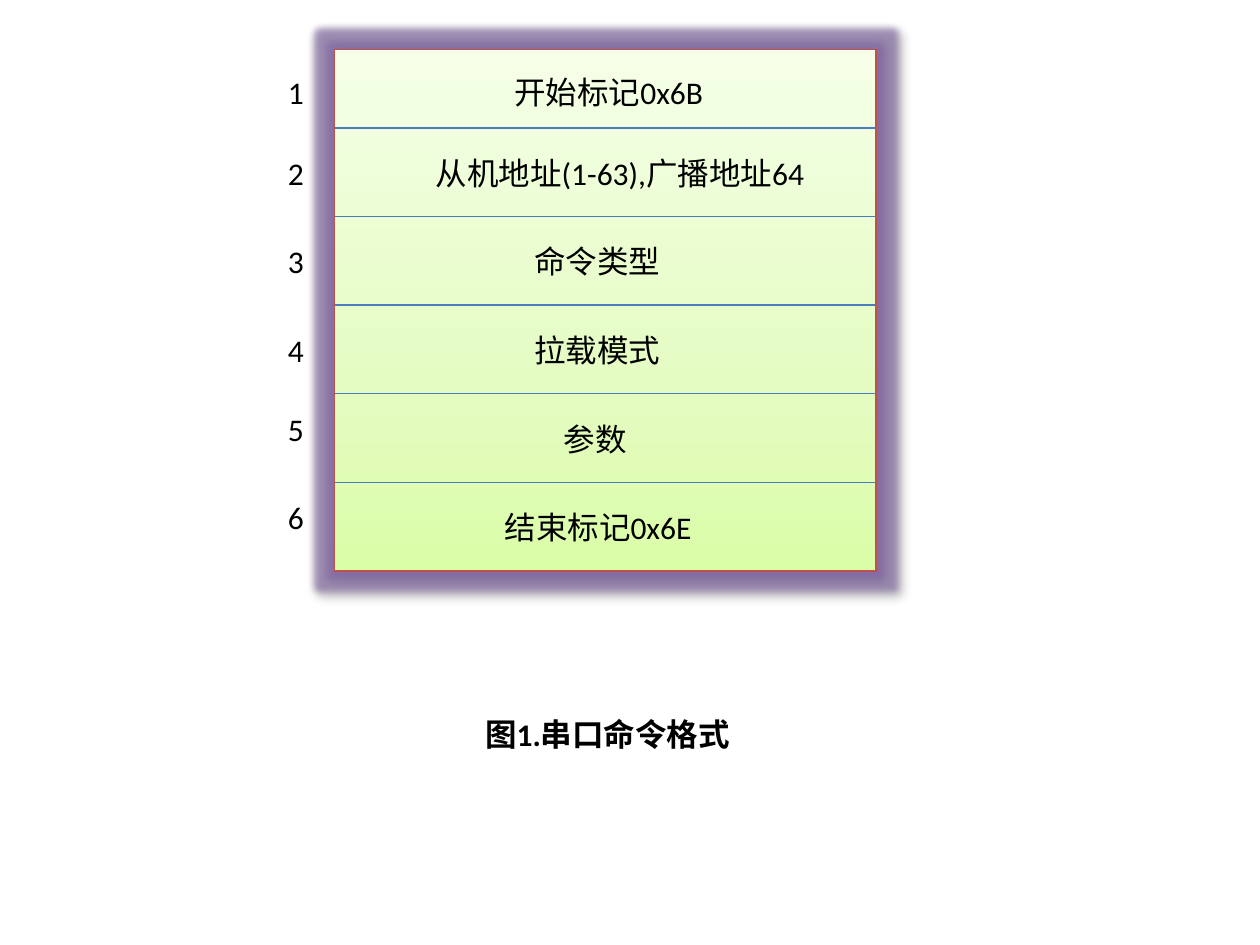
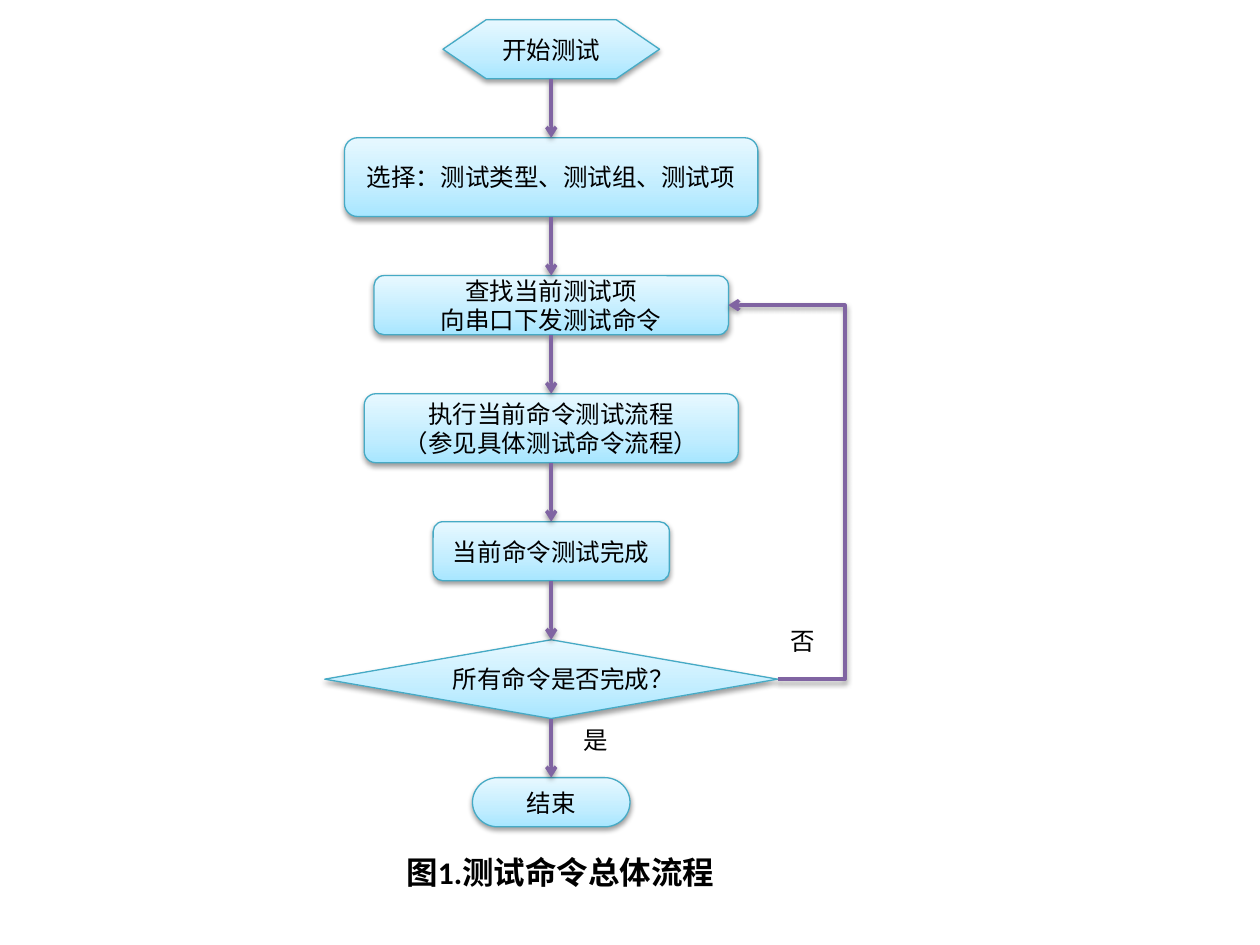
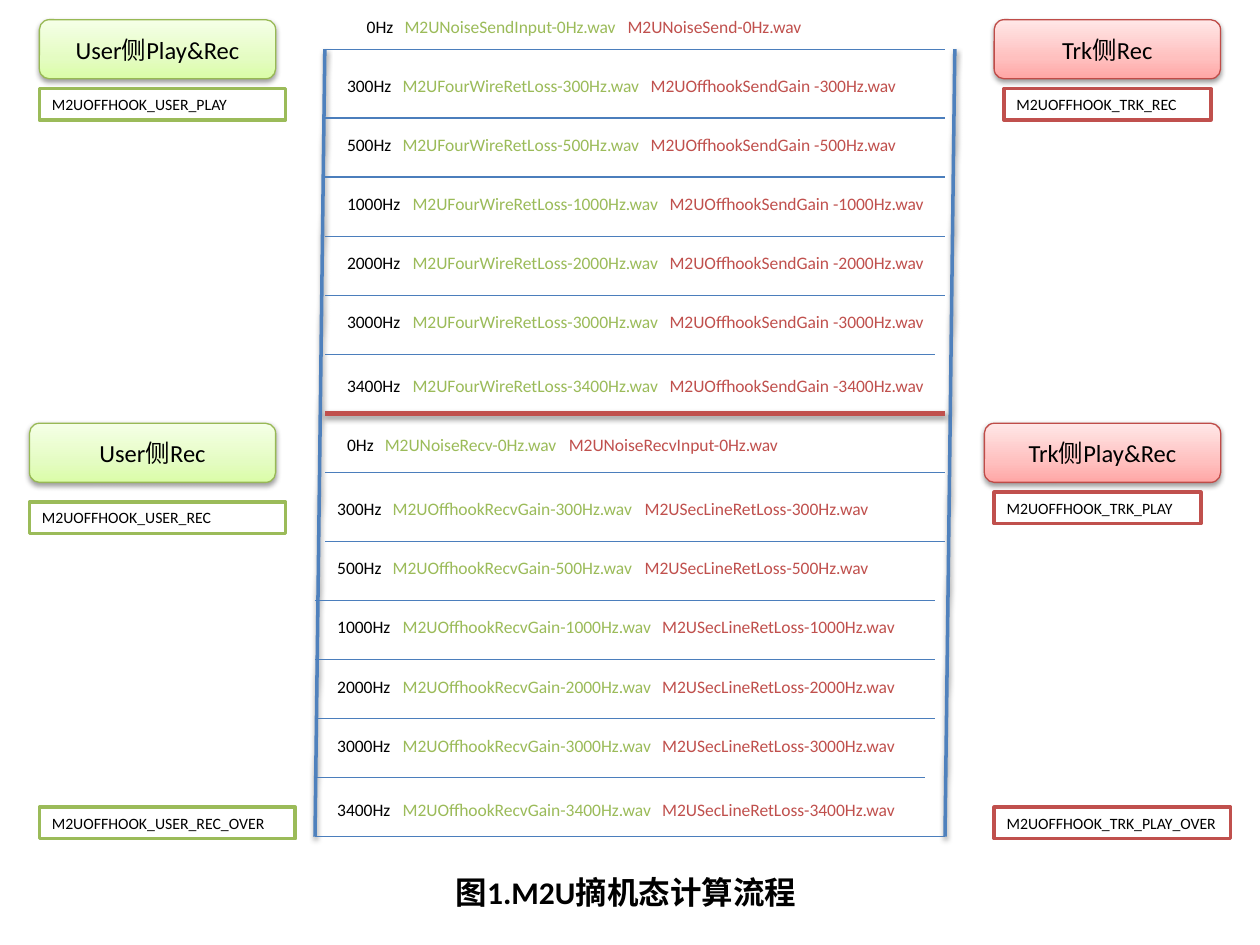
from lxml import etree
from pptx import Presentation
from pptx import util as u
from pptx.dml.color import RGBColor
from pptx.enum import shapes, text
from pptx.oxml.ns import qn

COLUMNS, ROWS = 128, 96
WIDTH, HEIGHT = u.Inches(10), u.Inches(7.5)
FONT = "Calibri"
BLACK, WHITE = "000000", "FFFFFF"
GREEN, RED, BLUE, PURPLE = "9BBB59", "C0504D", "4F81BD", "8064A2"
RULE = "4B7EBC"
SOFT_SHADOW = (38, 3.1, 1.6, 90)
GRADIENTS = {
    "green": ("DAFDA7", "E4FCC2", "F5FFE7"),
    "red": ("FFA6A5", "FFC0BF", "FFE7E7"),
    "blue": ("A7E6FF", "C1EDFF", "E7F8FF"),
}
EDGES = {"green": "98B955", "red": "BF4C48", "blue": "46AAC5"}
PRESET = shapes.MSO_SHAPE


def color(value):
    return RGBColor.from_string(value)


def add_node(parent, tag, **attributes):
    return etree.SubElement(parent, qn(tag), {key: str(value) for key, value in attributes.items()})


class Diagram:
    def __init__(self):
        self.presentation = Presentation()
        self.presentation.slide_width = WIDTH
        self.presentation.slide_height = HEIGHT
        self.slide = None

    def column(self, count):
        return round(WIDTH * count / COLUMNS)

    def row(self, count):
        return round(HEIGHT * count / ROWS)

    def area(self, left, top, width, height):
        return self.column(left), self.row(top), self.column(width), self.row(height)

    def start_slide(self, caption, left, top, width):
        layout = self.presentation.slide_layouts.get_by_name("Title Only")
        self.slide = self.presentation.slides.add_slide(layout)
        title = self.slide.shapes.title
        title.left, title.top, title.width, title.height = self.area(left, top, width, 5)
        title.text_frame.text = caption
        self.format_label(title, 18, bold=True)

    def format_runs(self, shape, size, alignment, bold=False):
        for paragraph in shape.text_frame.paragraphs:
            paragraph.alignment = alignment
            for run in paragraph.runs:
                run.font.name = FONT
                run.font.size = u.Pt(size)
                run.font.bold = bold
                run.font.color.rgb = color(BLACK)

    def format_label(self, shape, size, bold=False):
        frame = shape.text_frame
        frame.word_wrap = True
        frame.auto_size = text.MSO_AUTO_SIZE.SHAPE_TO_FIT_TEXT
        frame.vertical_anchor = text.MSO_ANCHOR.TOP
        frame.margin_right = 0
        self.format_runs(shape, size, text.PP_ALIGN.LEFT, bold)

    def label(self, words, left, top, width, height=5, size=18):
        box = self.slide.shapes.add_textbox(*self.area(left, top, width, height))
        box.text_frame.text = words
        self.format_label(box, size)
        return box

    def effects(self, shape, shadow=None, glow=None):
        properties = shape._element.spPr
        for existing in properties.findall(qn("a:effectLst")):
            properties.remove(existing)
        effect_list = add_node(properties, "a:effectLst")

        def tint(effect, value, opacity):
            add_node(add_node(effect, "a:srgbClr", val=value), "a:alpha", val=opacity * 1000)

        if glow:
            tint(add_node(effect_list, "a:glow", rad=u.Pt(8)), glow, 60)
        if shadow:
            opacity, blur, distance, angle = shadow
            outer = add_node(effect_list, "a:outerShdw", blurRad=u.Pt(blur), dist=u.Pt(distance),
                             dir=angle * 60000, rotWithShape=0)
            tint(outer, BLACK, opacity)

    def shape(self, preset, left, top, width, height, line, weight=0.75):
        shape = self.slide.shapes.add_shape(preset, *self.area(left, top, width, height))
        shape.shadow.inherit = False
        shape.line.color.rgb = color(line)
        shape.line.width = u.Pt(weight)
        return shape

    def panel(self, preset, palette, left, top, width, height, words="", line=None,
              shadow=SOFT_SHADOW, glow=None):
        panel = self.shape(preset, left, top, width, height, line or EDGES[palette])
        panel.fill.gradient()
        panel.fill.gradient_angle = 90
        stops = panel._element.spPr.find(".//" + qn("a:gsLst"))
        for stop in list(stops):
            stops.remove(stop)
        for position, value in zip((0, 35, 100), GRADIENTS[palette]):
            add_node(add_node(stops, "a:gs", pos=position * 1000), "a:srgbClr", val=value)
        self.effects(panel, shadow, glow)
        if words:
            panel.text_frame.text = words
            panel.text_frame.vertical_anchor = text.MSO_ANCHOR.MIDDLE
            self.format_runs(panel, 14, text.PP_ALIGN.CENTER)
        return panel

    def tag(self, words, line, left, top, width):
        tag = self.shape(PRESET.RECTANGLE, left, top, width, 3.2, line, 2)
        tag.fill.solid()
        tag.fill.fore_color.rgb = color(WHITE)
        tag.text_frame.text = words
        self.format_label(tag, 9)

    def line(self, left, top, right, bottom, value=RULE, weight=0.75, shadow=None,
             kind=shapes.MSO_CONNECTOR.STRAIGHT):
        line = self.slide.shapes.add_connector(
            kind, self.column(left), self.row(top), self.column(right), self.row(bottom))
        line.line.color.rgb = color(value)
        line.line.width = u.Pt(weight)
        self.effects(line, shadow)
        return line

    def arrow(self, source, source_side, target, target_side, bend=None):
        kind = shapes.MSO_CONNECTOR.STRAIGHT if bend is None else shapes.MSO_CONNECTOR.ELBOW
        arrow = self.line(0, 0, 1, 1, PURPLE, 2, SOFT_SHADOW, kind)
        arrow.begin_connect(source, source_side)
        arrow.end_connect(target, target_side)
        properties = arrow._element.spPr
        add_node(properties.find(qn("a:ln")), "a:tailEnd", type="arrow")
        if bend is not None:
            adjustments = properties.find(".//" + qn("a:avLst"))
            add_node(adjustments, "a:gd", name="adj1", fmla=f"val {round(bend * 100000)}")

    def tabbed_label(self, parts, stops, left, top, width):
        box = self.label("\t".join(words for words, _ in parts), left, top, width, 3.4, 10)
        paragraph = box.text_frame.paragraphs[0]
        paragraph.text = ""
        for index, (words, value) in enumerate(parts):
            run = paragraph.add_run()
            run.text = "\t" + words if index else words
        self.format_label(box, 10)
        for run, (_, value) in zip(paragraph.runs, parts):
            run.font.color.rgb = color(value)
        tab_list = add_node(paragraph._p.get_or_add_pPr(), "a:tabLst")
        for stop in stops:
            add_node(tab_list, "a:tab", pos=u.Inches(stop), algn="l")


def build_command_format(diagram):
    diagram.start_slide("图1.串口命令格式", 48, 72, 29)
    diagram.panel(PRESET.RECTANGLE, "green", 34, 5, 55, 53, line=RED,
                  shadow=(40, 4, 3, 45), glow=PURPLE)
    for top in range(13, 50, 9):
        diagram.line(34, top, 89, top)
    fields = [
        ("开始标记0x6B", 51, 6.8, 23, 6.8),
        ("从机地址(1-63),广播地址64", 43, 15, 43, 15),
        ("命令类型", 53, 24, 16, 24),
        ("拉载模式", 53, 33, 16, 33),
        ("参数", 56, 42, 9, 41),
        ("结束标记0x6E", 50, 51, 23, 50),
    ]
    for number, (words, left, top, width, number_top) in enumerate(fields, 1):
        diagram.label(str(number), 28, number_top, 4)
        diagram.label(words, left, top, width)


def build_test_flow(diagram):
    diagram.start_slide("图1.测试命令总体流程", 40, 86, 36)
    axis = 56
    steps = [
        (PRESET.FLOWCHART_PREPARATION, 2, 22, 6, "开始测试"),
        (PRESET.ROUNDED_RECTANGLE, 14, 42, 8, "选择：测试类型、测试组、测试项"),
        (PRESET.ROUNDED_RECTANGLE, 28, 36, 6, "查找当前测试项\n向串口下发测试命令"),
        (PRESET.ROUNDED_RECTANGLE, 40, 38, 7, "执行当前命令测试流程\n（参见具体测试命令流程）"),
        (PRESET.ROUNDED_RECTANGLE, 53, 24, 6, "当前命令测试完成"),
        (PRESET.FLOWCHART_DECISION, 65, 46, 8, "所有命令是否完成？"),
        (PRESET.FLOWCHART_TERMINATOR, 79, 16, 5, "结束"),
    ]
    nodes = [diagram.panel(preset, "blue", axis - width / 2, top, width, height, words)
             for preset, top, width, height, words in steps]
    for source, target in zip(nodes, nodes[1:]):
        diagram.arrow(source, 2, target, 0)
    send, decision = nodes[2], nodes[5]
    diagram.arrow(decision, 3, send, 3, bend=-1.37)
    diagram.label("是", 58, 73, 5, 4.3, 14)
    diagram.label("否", 79, 63, 5, 4.3, 14)


def build_offhook_flow(diagram):
    diagram.start_slide("图1.M2U摘机态计算流程", 45, 88, 39)
    for palette, left, top, width, words in [
        ("red", 101, 2, 23, "Trk侧Rec"),
        ("green", 4, 2, 24, "User侧Play&Rec"),
        ("red", 100, 43, 24, "Trk侧Play&Rec"),
        ("green", 3, 43, 25, "User侧Rec"),
    ]:
        diagram.panel(PRESET.ROUNDED_RECTANGLE, palette, left, top, width, 6, words)
    for words, line, left, top, width in [
        ("M2UOFFHOOK_USER_PLAY", GREEN, 4, 9, 25),
        ("M2UOFFHOOK_TRK_REC", RED, 102, 9, 21),
        ("M2UOFFHOOK_USER_REC", GREEN, 3, 51, 26),
        ("M2UOFFHOOK_TRK_PLAY", RED, 101, 50, 21),
        ("M2UOFFHOOK_USER_REC_OVER", GREEN, 4, 82, 26),
        ("M2UOFFHOOK_TRK_PLAY_OVER", RED, 101, 82, 24),
    ]:
        diagram.tag(words, line, left, top, width)
    for left in (33, 97):
        diagram.line(left, 5, left - 1, 85, BLUE, 2, SOFT_SHADOW)

    frequencies = (0, 300, 500, 1000, 2000, 3000, 3400)
    user_stops = {1: 0.3, 3: 0.44, 4: 0.52}
    groups = [
        (("M2UNoiseSendInput", "M2UNoiseSend"),
         ("M2UFourWireRetLoss", "M2UOffhookSendGain "),
         {1: 2.07, 3: 2.41, 4: 2.56}, (36, 34), (1, 7, 13, 19, 25, 31, 37.5)),
        (("M2UNoiseRecv", "M2UNoiseRecvInput"),
         ("M2UOffhookRecvGain", "M2USecLineRetLoss"),
         {1: 1.76, 3: 2.44, 4: 2.58}, (34, 33), (43.5, 50, 56, 62, 68, 74, 80.5)),
    ]
    for noise, tone, trunk_stops, (noise_left, tone_left), tops in groups:
        for frequency, top in zip(frequencies, tops):
            user, trunk = tone if frequency else noise
            digits = len(str(frequency))
            parts = [(f"{frequency}Hz", BLACK),
                     (f"{user}-{frequency}Hz.wav", GREEN),
                     (f"{trunk}-{frequency}Hz.wav", RED)]
            diagram.tabbed_label(parts, (user_stops[digits], trunk_stops[digits]),
                                 tone_left if frequency else noise_left, top, 63)

    rules = [
        (33, 96, (5, 12, 18, 24, 30, 48, 55)),
        (33, 95, (36,)),
        (32, 95, (61, 67, 73)),
        (32, 94, (79,)),
        (32, 96, (85,)),
    ]
    for left, right, tops in rules:
        for top in tops:
            diagram.line(left, top, right, top)
    diagram.line(33, 42, 96, 42, RED, 3, SOFT_SHADOW)


def main():
    diagram = Diagram()
    build_command_format(diagram)
    build_test_flow(diagram)
    build_offhook_flow(diagram)
    diagram.presentation.save("out.pptx")


if __name__ == "__main__":
    main()
